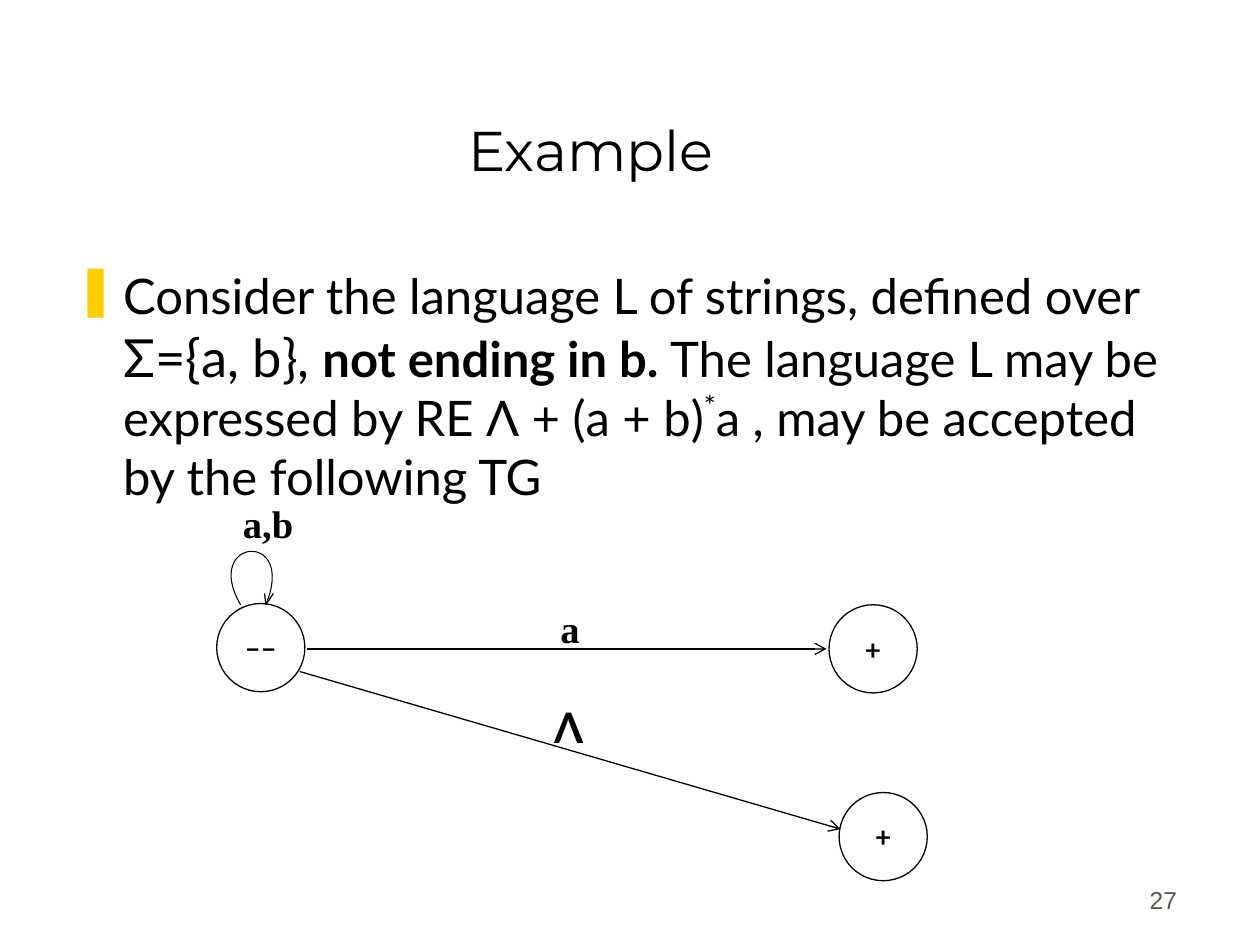
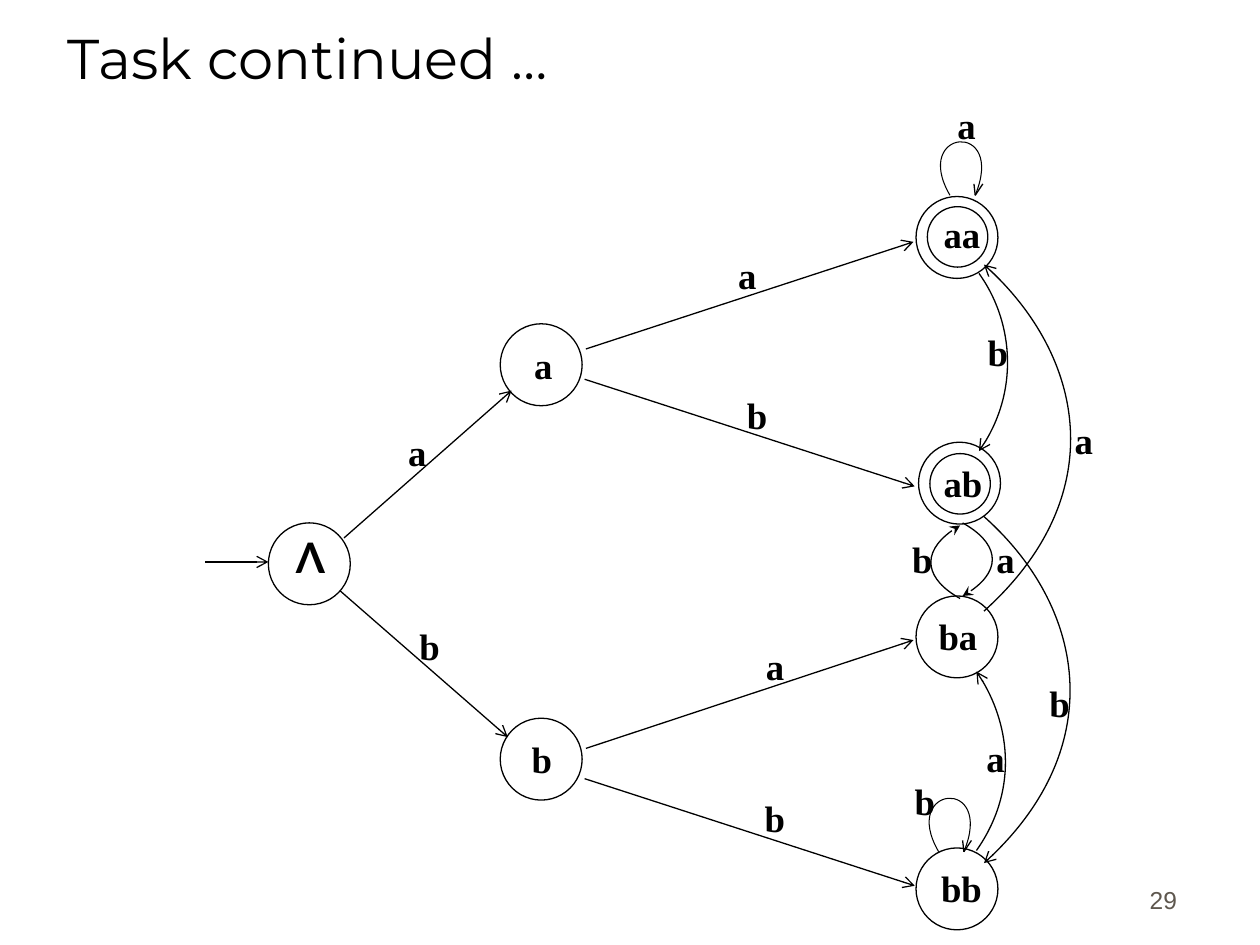
"""Build two slides with transition graphs."""
from lxml import etree
from pptx import Presentation
from pptx.dml.color import RGBColor
from pptx.enum.shapes import MSO_CONNECTOR, MSO_SHAPE
from pptx.enum.text import MSO_ANCHOR, PP_ALIGN
from pptx.oxml.ns import qn
from pptx.util import Inches, Pt

BLACK = RGBColor(0x00, 0x00, 0x00)
WHITE = RGBColor(0xFF, 0xFF, 0xFF)
GREY = RGBColor(0x5E, 0x57, 0x4E)
GOLD = RGBColor(0xFF, 0xCC, 0x00)
LEFT, CENTER, RIGHT = PP_ALIGN.LEFT, PP_ALIGN.CENTER, PP_ALIGN.RIGHT
TOP, MIDDLE, BOTTOM = MSO_ANCHOR.TOP, MSO_ANCHOR.MIDDLE, MSO_ANCHOR.BOTTOM
OVAL, STRAIGHT = MSO_SHAPE.OVAL, MSO_CONNECTOR.STRAIGHT
SERIF, SANS, HEAD = "Times New Roman", "Lato", "Montserrat"


def write(shape, text, font=SERIF, size=21, color=BLACK, bold=False, align=LEFT, anchor=TOP):
    """Write a string, or a list of (text, size, bold, baseline) runs."""
    frame = shape.text_frame
    frame.word_wrap = True
    frame.vertical_anchor = anchor
    par = frame.paragraphs[0]
    par.alignment = align
    runs = [(text, size, bold, 0)] if isinstance(text, str) else text
    for part, points, heavy, shift in runs:
        run = par.add_run()
        run.text = part
        run.font.name, run.font.size, run.font.bold = font, Pt(points), heavy
        run.font.color.rgb = color
        if shift:
            run.font._element.set("baseline", str(shift * 1000))
    return par


def link(slide, points, tip="arrow", width=0.75):
    """Join two points with a line, or four with a Bezier curve."""
    spots = [(Inches(x), Inches(y)) for x, y in points]
    if len(spots) == 2:
        edge = slide.shapes.add_connector(STRAIGHT, *spots[0], *spots[1])
    else:
        pen = slide.shapes.build_freeform(*spots[0], scale=1.0)
        pen.add_line_segments(spots[1:], close=False)
        edge = pen.convert_to_shape()
        edge.fill.background()
        route = edge._element.spPr.find(".//" + qn("a:path"))
        curve = etree.SubElement(route, qn("a:cubicBezTo"))
        for step in route.findall(qn("a:lnTo")):
            curve.append(step[0])
            route.remove(step)
    edge.line.color.rgb = BLACK
    edge.line.width = Pt(width)
    if tip:
        etree.SubElement(edge.line._get_or_add_ln(), qn("a:tailEnd"), type=tip)
    etree.SubElement(edge._element.spPr, qn("a:effectLst"))


deck = Presentation()
deck.slide_width, deck.slide_height = Inches(10), Inches(7.5)

pages = [
    dict(
        title="Example", align=CENTER, high=1.25, number="27",
        size=22, box=(1.37, 0.51),
        nodes=[(1.72, 4.79, 0.7, "––"), (6.58, 4.8, 0.7, "+"), (6.66, 6.29, 0.7, "+")],
        edges=[[(2.44, 5.15), (6.56, 5.15)], [(2.38, 5.33), (6.67, 6.58)]],
        curves=[], loops=[(1.91, 4.8)],
        labels=[("a", 4.35, 4.75), ("a,b", 1.83, 3.92), ("Λ", 4.3, 5.52)],
    ),
    dict(
        title="Task continued …", align=LEFT, high=0.52, number="29",
        size=21, box=(0.98, 0.68),
        nodes=[
            (2.13, 4.15, 0.65, ""), (3.97, 5.7, 0.65, ""), (3.97, 2.57, 0.65, ""),
            (7.27, 1.56, 0.65, ""), (7.29, 3.51, 0.65, ""), (7.27, 4.73, 0.65, ""),
            (7.27, 6.73, 0.65, ""), (7.36, 1.64, 0.48, ""), (7.38, 3.6, 0.48, ""),
        ],
        edges=[
            [(1.63, 4.46), (2.13, 4.46)],
            [(2.73, 4.27), (4.06, 3.1)], [(2.7, 4.69), (4.03, 5.85)],
            [(4.65, 2.77), (7.25, 1.92)], [(4.64, 3.01), (7.26, 3.86)],
            [(4.65, 5.94), (7.25, 5.08)], [(4.64, 6.18), (7.26, 7.03)],
        ],
        curves=[
            ("arrow", [(7.75, 6.75), (8.08, 6.28), (8.01, 5.7), (7.75, 5.33)]),
            ("arrow", [(7.77, 2.17), (8.03, 2.53), (8.1, 3.12), (7.77, 3.58)]),
            ("arrow", [(7.81, 4.1), (8.61, 4.81), (8.81, 5.95), (7.81, 6.85)]),
            ("arrow", [(7.81, 4.85), (8.81, 3.95), (8.61, 2.81), (7.81, 2.1)]),
            ("stealth", [(7.64, 4.15), (7.91, 4.3), (7.98, 4.54), (7.64, 4.73)]),
            ("stealth", [(7.62, 4.75), (7.35, 4.6), (7.29, 4.36), (7.62, 4.17)]),
        ],
        loops=[(7.54, 1.55), (7.45, 6.76)],
        labels=[
            ("Λ", 2.25, 4.17), ("a", 4.14, 2.67), ("b", 4.12, 5.8),
            ("aa", 7.39, 1.63), ("ab", 7.39, 3.61), ("ba", 7.35, 4.82), ("bb", 7.37, 6.82),
            ("a", 3.14, 3.36), ("b", 3.23, 4.9), ("a", 5.76, 1.96), ("b", 5.83, 3.07),
            ("a", 5.98, 5.06), ("b", 5.97, 6.27), ("a", 7.5, 0.77), ("b", 7.16, 6.13),
            ("b", 7.74, 2.57), ("a", 7.73, 5.79), ("a", 8.43, 3.27), ("b", 8.23, 5.35),
            ("a", 7.81, 4.21), ("b", 7.14, 4.21),
        ],
    ),
]

for page in pages:
    slide = deck.slides.add_slide(deck.slide_layouts[6])
    shapes = slide.shapes
    title = shapes.add_textbox(Inches(0.44), Inches(0.25), Inches(8.5), Inches(page["high"]))
    write(title, page["title"], font=HEAD, size=32, align=page["align"], anchor=BOTTOM)
    number = shapes.add_textbox(Inches(7.36), Inches(6.81), Inches(2.08), Inches(0.5))
    write(number, page["number"], font="Arial", size=14, color=GREY, align=RIGHT, anchor=BOTTOM)

    for x, y, width, sign in page["nodes"]:
        node = shapes.add_shape(OVAL, Inches(x), Inches(y), Inches(width), Inches(width))
        node.shadow.inherit = False
        node.fill.solid()
        node.fill.fore_color.rgb = WHITE
        node.line.color.rgb = BLACK
        node.line.width = Pt(0.75)
        if sign:
            write(node, sign, font=SANS, size=16, bold=True, align=CENTER, anchor=MIDDLE)

    for edge in page["edges"]:
        link(slide, edge)
    for tip, curve in page["curves"]:
        link(slide, curve, tip=tip)
    for x, y in page["loops"]:
        end = (x + 0.2, y)
        link(slide, [(x, y), (x - 0.31, y - 0.53), (x + 0.45, y - 0.6), end], tip=None, width=0.6)
        for side in (-0.01, 0.06):
            link(slide, [end, (x + 0.2 + side, y - 0.09)], tip=None)

    for text, x, y in page["labels"]:
        label = shapes.add_textbox(Inches(x), Inches(y), *map(Inches, page["box"]))
        if text == "Λ":
            write(label, text, font=SANS, size=24, bold=True)
        else:
            write(label, text, size=page["size"], bold=True)

body = deck.slides[0].shapes.add_textbox(Inches(0.5), Inches(2.06), Inches(8.94), Inches(2.1))
par = write(body, [
    ("Consider the language L of strings, defined over ", 28, False, 0),
    ("Σ={a, b},", 30, False, 0),
    (" ", 28, False, 0),
    ("not ending in b. ", 28, True, 0),
    ("The language L may be expressed by RE Λ + (a + b)", 28, False, 0),
    ("*", 28, False, 40),
    ("a , may be accepted by the following TG", 28, False, 0),
], font=SANS)
props = par._p.get_or_add_pPr()
props.set("marL", str(Inches(0.38)))
props.set("indent", str(-Inches(0.38)))
tint = etree.SubElement(props, qn("a:buClr"))
etree.SubElement(tint, qn("a:srgbClr"), val=str(GOLD))
etree.SubElement(props, qn("a:buChar"), char="❚")

deck.save("out.pptx")
